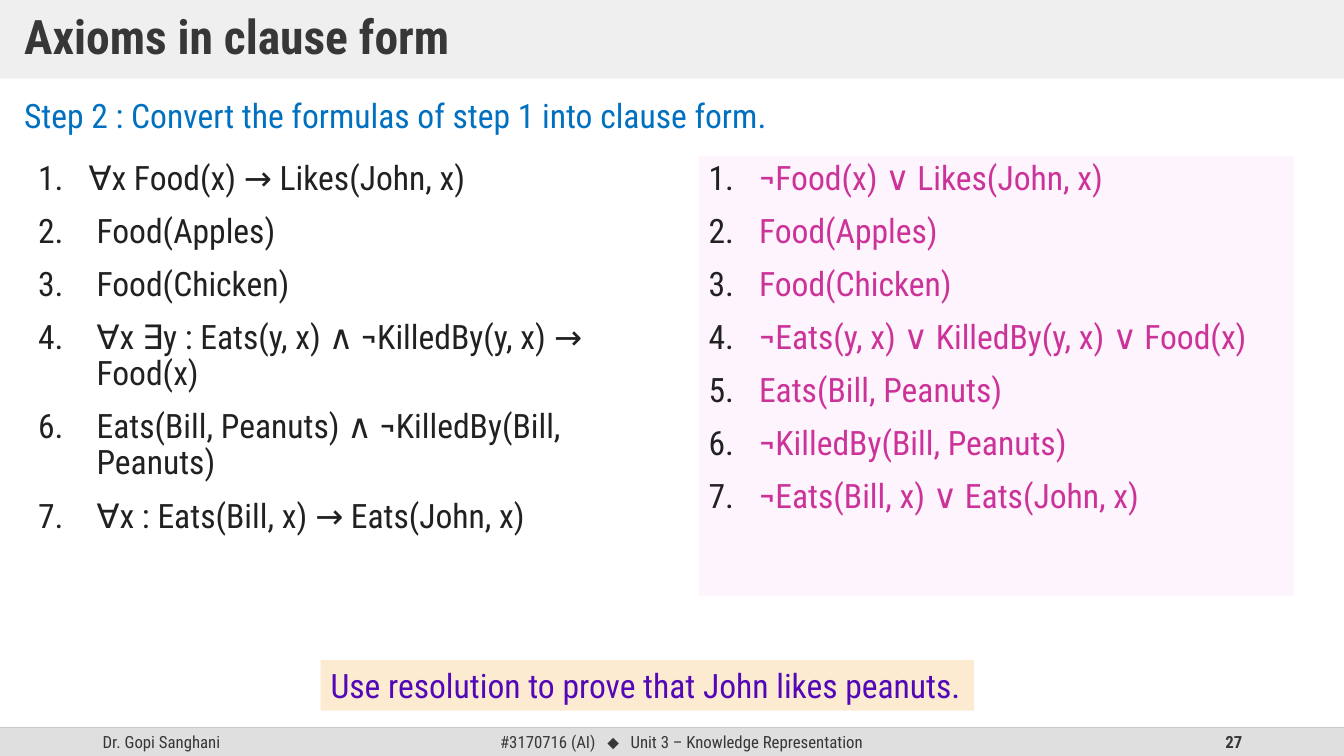
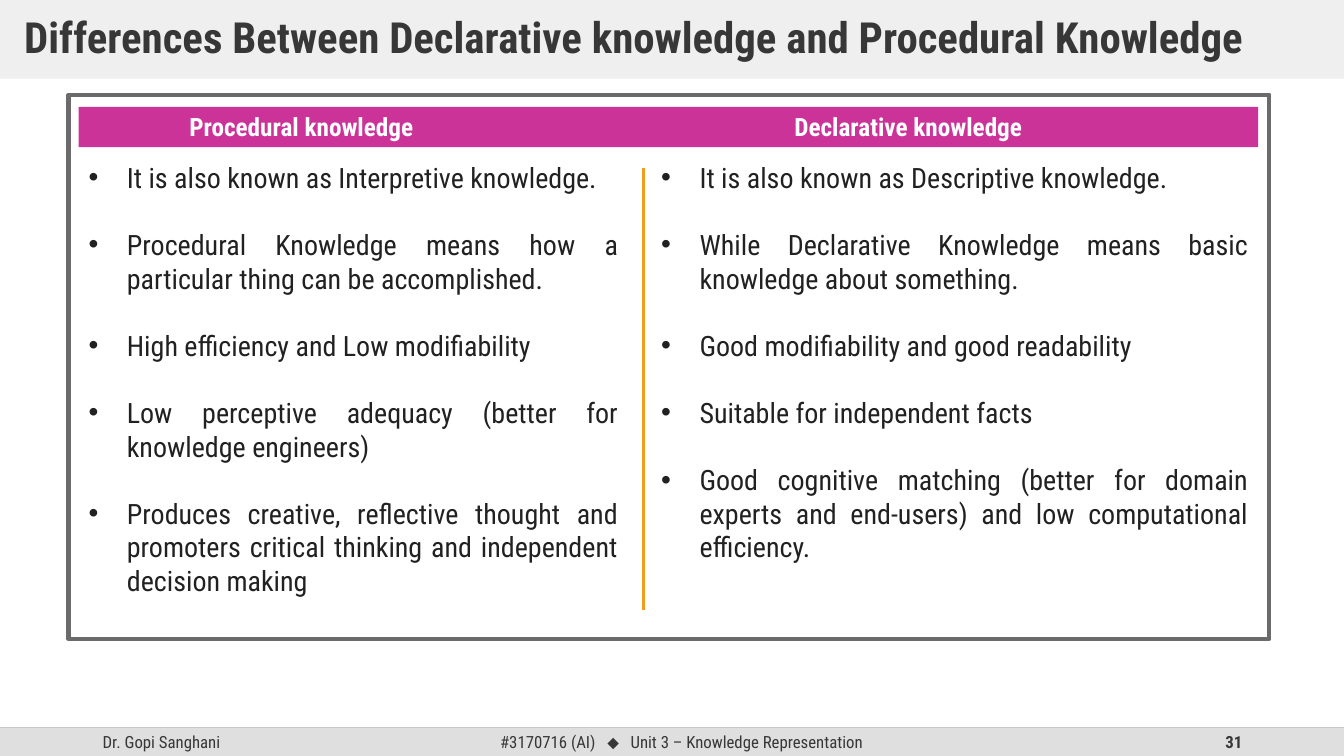
"""Build two lecture slides on clause form and kinds of knowledge."""
from lxml.etree import SubElement
from pptx import Presentation
from pptx.dml.color import RGBColor
from pptx.enum.shapes import MSO_CONNECTOR, MSO_SHAPE
from pptx.enum.text import MSO_ANCHOR, MSO_AUTO_SIZE, PP_ALIGN
from pptx.oxml.ns import qn
from pptx.util import Inches, Pt

COLOURS = {
    "ink": "212121", "title": "373737", "title band": "EFEFEF",
    "footer": "DFDFDF", "footer rule": "C9C9C9", "step": "0070C0",
    "accent": "CC3399", "pale pink": "FEF4FD", "cream": "FCEBD1",
    "violet": "5308B8", "frame": "6B6B6B", "gold": "F19D19", "white": "FFFFFF",
}
FONT = "Roboto Condensed"
WIDTH, HEIGHT = 13.33, 7.5
FOOTER_TOP = 7.22
LIST_FORMAT = {"line_spacing": 0.9, "space_after": Pt(12)}
BULLET_FORMAT = {"alignment": PP_ALIGN.JUSTIFY, "space_after": Pt(24)}


def colour(name):
    return RGBColor.from_string(COLOURS[name])


def apply(target, values):
    for name, value in values.items():
        setattr(target, name, value)


class Lecture:
    def __init__(self):
        self.deck = Presentation()
        apply(self.deck, {"slide_width": Inches(WIDTH), "slide_height": Inches(HEIGHT)})
        self.page = None

    def start(self, title, size, number):
        self.page = self.deck.slides.add_slide(self.deck.slide_layouts[5])
        box = self.page.shapes.title
        apply(box, {"left": 0, "top": 0, "width": Inches(WIDTH), "height": Inches(0.78)})
        self.fill(box, "title band")
        apply(box.text_frame, {
            "margin_left": Inches(0.24), "margin_right": Inches(0.24),
            "margin_top": Inches(0.12), "margin_bottom": Inches(0.12),
            "auto_size": MSO_AUTO_SIZE.NONE, "word_wrap": True,
            "vertical_anchor": MSO_ANCHOR.MIDDLE,
        })
        para = box.text_frame.paragraphs[0]
        apply(para, {"alignment": PP_ALIGN.LEFT, "line_spacing": 0.9})
        self.span(para, title, size, "title", bold=True)
        self.footer(number)

    def footer(self, number):
        self.rectangle((0, FOOTER_TOP, WIDTH, HEIGHT - FOOTER_TOP), "footer")
        course = [("#3170716 (AI)   ", FONT), ("⬥", "Arial"),
                  ("   Unit 3 – Knowledge Representation", FONT)]
        for left, width, align, bold, spans in (
            (0.92, 3, PP_ALIGN.LEFT, False, [("Dr. Gopi Sanghani", FONT)]),
            (4.42, 4.68, PP_ALIGN.CENTER, False, course),
            (9.42, 3, PP_ALIGN.RIGHT, True, [(str(number), FONT)]),
        ):
            box = self.text_box((left, FOOTER_TOP, width, 0.28))
            box.text_frame.vertical_anchor = MSO_ANCHOR.MIDDLE
            para = box.text_frame.paragraphs[0]
            para.alignment = align
            for text, font in spans:
                self.span(para, text, 12, "title", bold, font)
        self.line((0, FOOTER_TOP), (WIDTH, FOOTER_TOP), "footer rule", 1)

    def fill(self, shape, name):
        shape.fill.solid()
        shape.fill.fore_color.rgb = colour(name)

    def rectangle(self, place, fill=None, outline=None, weight=0):
        shape = self.page.shapes.add_shape(MSO_SHAPE.RECTANGLE, *map(Inches, place))
        shape.shadow.inherit = False
        if fill:
            self.fill(shape, fill)
        else:
            shape.fill.background()
        if outline:
            shape.line.color.rgb = colour(outline)
            shape.line.width = Pt(weight)
        else:
            shape.line.fill.background()
        apply(shape.text_frame, {"word_wrap": True, "vertical_anchor": MSO_ANCHOR.TOP})
        return shape

    def text_box(self, place):
        box = self.page.shapes.add_textbox(*map(Inches, place))
        box.text_frame.word_wrap = True
        return box

    def line(self, start, end, name, weight):
        line = self.page.shapes.add_connector(
            MSO_CONNECTOR.STRAIGHT, *map(Inches, start + end))
        line.line.color.rgb = colour(name)
        line.line.width = Pt(weight)
        SubElement(line._element.spPr, qn("a:effectLst"))

    def span(self, para, text, size, name, bold=False, font=FONT):
        span = para.add_run()
        span.text = text
        apply(span.font, {"name": font, "size": Pt(size), "bold": bold})
        span.font.color.rgb = colour(name)

    def paragraphs(self, box, lines, size, name, bold=False, values=None):
        frame = box.text_frame
        paras = []
        for index, text in enumerate(lines):
            para = frame.add_paragraph() if index else frame.paragraphs[0]
            apply(para, {"alignment": PP_ALIGN.LEFT, **(values or {})})
            self.span(para, text, size, name, bold)
            paras.append(para)
        return paras

    def marker(self, para, indent, start=None):
        props = para._p.get_or_add_pPr()
        props.set("marL", str(Inches(indent)))
        props.set("indent", str(-Inches(indent)))
        tint = SubElement(props, qn("a:buClr"))
        SubElement(tint, qn("a:srgbClr"), val=COLOURS["ink"])
        SubElement(props, qn("a:buFont"), typeface=FONT if start else "Arial")
        if start:
            number = SubElement(props, qn("a:buAutoNum"), type="arabicPeriod")
            if start > 1:
                number.set("startAt", str(start))
        else:
            SubElement(props, qn("a:buChar"), char="•")

    def numbered(self, box, lines, name, markers):
        paras = self.paragraphs(box, lines, 24, name, values=LIST_FORMAT)
        for para, (indent, start) in zip(paras, markers):
            self.marker(para, indent, start)

    def bulleted(self, place, lines):
        box = self.text_box(place)
        for para in self.paragraphs(box, lines, 20, "ink", values=BULLET_FORMAT):
            self.marker(para, 0.38)

    def headings(self, place, names, stops):
        bar = self.rectangle(place, "accent")
        text = "".join("\t" + name for name in names)
        para = self.paragraphs(bar, [text], 18, "white", bold=True)[0]
        tabs = SubElement(para._p.get_or_add_pPr(), qn("a:tabLst"))
        for stop in stops:
            SubElement(tabs, qn("a:tab"), pos=str(Inches(stop)), algn="l")


def clause_form(lecture):
    lecture.start("Axioms in clause form", 34, 27)
    step = lecture.text_box((0.14, 0.94, 13.05, 0.5))
    lecture.paragraphs(step, ["Step 2 : Convert the formulas of step 1 into clause form."],
                       24, "step", values={"line_spacing": 0.9})
    formulas = lecture.text_box((0.28, 1.55, 6.04, 4.36))
    lecture.numbered(formulas, [
        "∀x Food(x) → Likes(John, x)",
        "Food(Apples)",
        "Food(Chicken)",
        "∀x ∃y : Eats(y, x) ∧ ¬KilledBy(y, x) → Food(x)",
        "Eats(Bill, Peanuts) ∧ ¬KilledBy(Bill, Peanuts)",
        "∀x : Eats(Bill, x) → Eats(John, x)",
    ], "ink", [(0.5, 1)] + [(0.58, 2)] * 3 + [(0.58, 6)] * 2)
    clauses = lecture.rectangle((6.93, 1.55, 5.9, 4.36), "pale pink")
    lecture.numbered(clauses, [
        "¬Food(x) ∨ Likes(John, x)",
        "Food(Apples)",
        "Food(Chicken)",
        "¬Eats(y, x) ∨ KilledBy(y, x) ∨ Food(x)",
        "Eats(Bill, Peanuts)",
        "¬KilledBy(Bill, Peanuts)",
        "¬Eats(Bill, x) ∨ Eats(John, x)",
    ], "accent", [(0.5, 1)] * 7)
    goal = lecture.rectangle((3.18, 6.55, 6.48, 0.5), "cream")
    lecture.paragraphs(goal, ["Use resolution to prove that John likes peanuts."], 24, "violet")


def knowledge_kinds(lecture):
    lecture.start("Differences Between Declarative knowledge and Procedural Knowledge",
                  30.6, 31)
    lecture.rectangle((0.68, 0.94, 11.91, 5.4), outline="frame", weight=3)
    lecture.headings((0.78, 1.06, 11.7, 0.4),
                     ("Procedural knowledge", "Declarative knowledge"), (1, 7))
    lecture.bulleted((0.78, 1.54, 5.45, 4.48), [
        "It is also known as Interpretive knowledge.",
        "Procedural Knowledge means how a particular thing can be accomplished.",
        "High efficiency and Low modifiability",
        "Low perceptive adequacy (better for knowledge engineers)",
        "Produces creative, reflective thought and promoters critical thinking "
        "and independent decision making",
    ])
    lecture.bulleted((6.46, 1.54, 6.02, 4.14), [
        "It is also known as Descriptive knowledge.",
        "While Declarative Knowledge means basic knowledge about something.",
        "Good modifiability and good readability",
        "Suitable for independent facts",
        "Good cognitive matching (better for domain experts and end-users) "
        "and low computational efficiency.",
    ])
    lecture.line((6.38, 1.67), (6.38, 6.05), "gold", 2.25)


def main():
    lecture = Lecture()
    clause_form(lecture)
    knowledge_kinds(lecture)
    lecture.deck.save("out.pptx")


if __name__ == "__main__":
    main()
